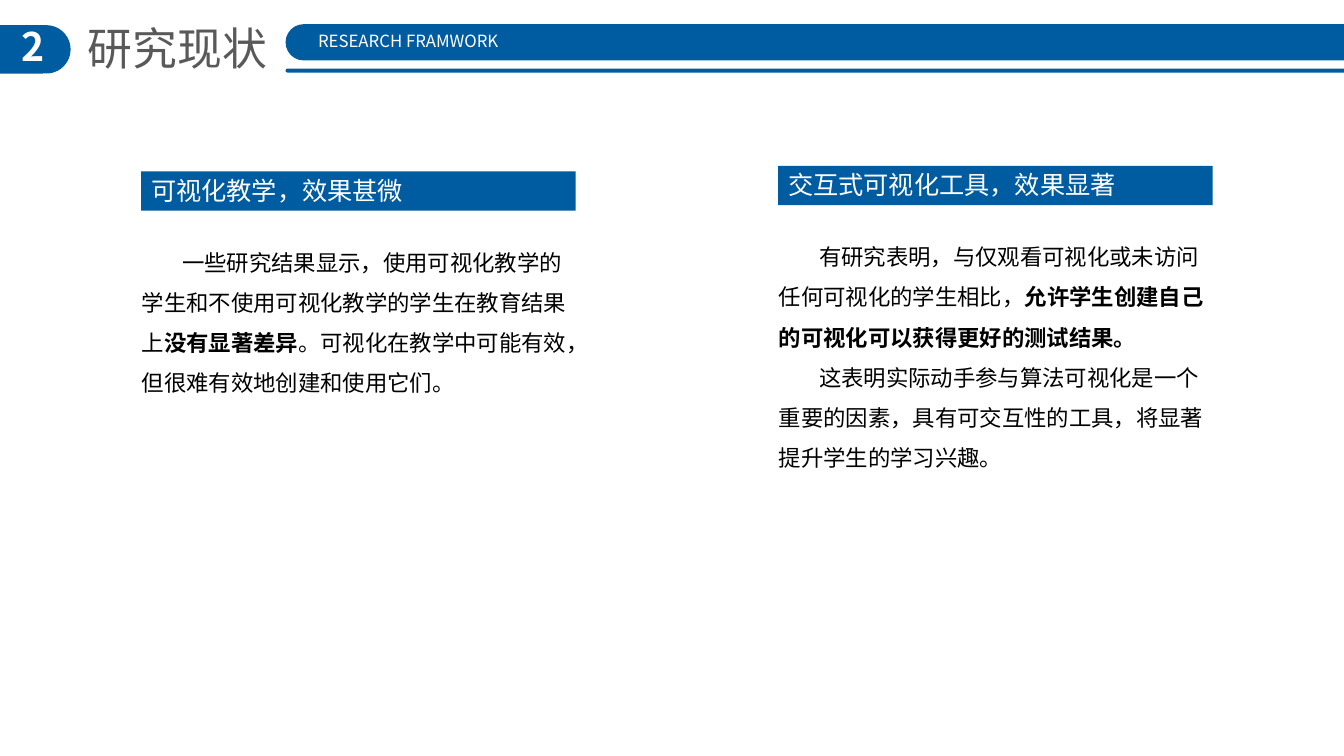
import pptx
import pptx.util
import pptx.dml.color
import pptx.enum.shapes
import pptx.enum.text
import pptx.oxml.ns
from collections import namedtuple
from dataclasses import dataclass


@dataclass(frozen=True)
class Theme:
    font: str = "Noto Sans CJK SC"
    blue: str = "005CA1"
    gray: str = "595959"
    white: str = "FFFFFF"
    black: str = "000000"
    badge: int = 28
    title: int = 32
    tag: int = 12
    head: int = 18
    body: int = 16


theme = Theme()
SHAPE = pptx.enum.shapes.MSO_SHAPE
ALIGN = pptx.enum.text.PP_ALIGN
WIDE, HIGH = pptx.util.Inches(13.33), pptx.util.Inches(7.5)
GRID = 100  # columns across and rows down the slide
Box = namedtuple("Box", "x y w h")


def inner(box, x, y, w, h):
    """A box placed relative to the corner of another."""
    return Box(box.x + x, box.y + y, w, h)


def place(box):
    """Turn grid columns and rows into slide lengths."""
    return [round(n * side / GRID) for n, side in zip(box, (WIDE, HIGH, WIDE, HIGH))]


def color(code):
    return pptx.dml.color.RGBColor.from_string(code)


def bar(slide, box, kind):
    shape = slide.shapes.add_shape(kind, *place(box))
    shape.shadow.inherit = False
    shape.fill.solid()
    shape.fill.fore_color.rgb = color(theme.blue)
    shape.line.fill.background()
    if kind == SHAPE.ROUNDED_RECTANGLE:
        shape.adjustments[0] = 0.5


def style(run, size, ink, bold):
    run.font.size = pptx.util.Pt(size)
    run.font.bold = bold
    run.font.color.rgb = color(ink)
    run.font.name = theme.font
    # East Asian glyphs take their own font entry
    latin = run.font._element.find(pptx.oxml.ns.qn("a:latin"))
    east = pptx.oxml.parse_xml(f'<a:ea {pptx.oxml.ns.nsdecls("a")}/>')
    east.set("typeface", theme.font)
    latin.addnext(east)


def write(slide, box, paras, size, ink, wrap=False, align=ALIGN.LEFT,
          inset=True, space=None, indent=0):
    """Each paragraph is a list of (words, bold) pairs."""
    frame = slide.shapes.add_textbox(*place(box)).text_frame
    frame.word_wrap = wrap
    frame.auto_size = pptx.enum.text.MSO_AUTO_SIZE.SHAPE_TO_FIT_TEXT
    if not inset:
        frame.margin_left = frame.margin_right = 0
        frame.margin_top = frame.margin_bottom = 0
    for i, parts in enumerate(paras):
        para = frame.add_paragraph() if i else frame.paragraphs[0]
        para.alignment = align
        if space:
            para.line_spacing = space
        if indent:
            para._p.get_or_add_pPr().set("indent", str(pptx.util.Inches(indent)))
        for words, bold in parts:
            run = para.add_run()
            run.text = words
            style(run, size, ink, bold)


def header(slide, box, number, title, tag):
    # Section badge and title
    bar(slide, inner(box, -2.1, 3.33, 7.35, 6.4), SHAPE.ROUNDED_RECTANGLE)
    write(slide, inner(box, 0.53, 2.93, 3.83, 7.6), [[(number, True)]],
          theme.badge, theme.white, wrap=True, align=ALIGN.CENTER, inset=False)
    write(slide, inner(box, 5.78, 2.13, 15, 8.53), [[(title, False)]],
          theme.title, theme.gray)
    # Band and thin rule running off the right edge
    for y, h in ((3.2, 4.8), (9.07, 0.53)):
        bar(slide, inner(box, 21.25, y, 82.75, h), SHAPE.ROUNDED_RECTANGLE)
    write(slide, inner(box, 22.43, 3.47, 15.9, 4), [[(tag, False)]],
          theme.tag, theme.white, align=ALIGN.CENTER)


def column(slide, box, head, paras, lines):
    # Heading on its bar
    bar(slide, inner(box, 0, 0, box.w, 5.2), SHAPE.RECTANGLE)
    write(slide, inner(box, 0, -0.2, 2.05 * len(head), 5.33), [[(head, False)]],
          theme.head, theme.white)
    # Body text
    write(slide, inner(box, -0.68, 7.8, box.w + 0.97, 5.4 * lines + 0.67), paras,
          theme.body, theme.black, wrap=True, space=1.5, indent=0.4)


def main():
    deck = pptx.Presentation()
    deck.slide_width, deck.slide_height = WIDE, HIGH
    slide = deck.slides.add_slide(deck.slide_layouts[6])

    header(slide, Box(0, 0, GRID, 10), "2", "研究现状", "RESEARCH FRAMWORK")

    column(slide, Box(10.5, 22.67, 32.33, 30), "可视化教学，效果甚微", [
        [("一些研究结果显示，使用可视化教学的学生和不使用可视化教学的学生在教育结果上", False),
         ("没有显著差异", True),
         ("。可视化在教学中可能有效，但很难有效地创建和使用它们。", False)],
    ], 4)

    column(slide, Box(57.9, 21.93, 32.33, 41), "交互式可视化工具，效果显著", [
        [("有研究表明，与仅观看可视化或未访问任何可视化的学生相比，", False),
         ("允许学生创建自己的可视化可以获得更好的测试结果。", True)],
        [("这表明实际动手参与算法可视化是一个重要的因素，具有可交互性的工具，"
          "将显著提升学生的学习兴趣。", False)],
    ], 6)

    deck.save("out.pptx")


if __name__ == "__main__":
    main()
